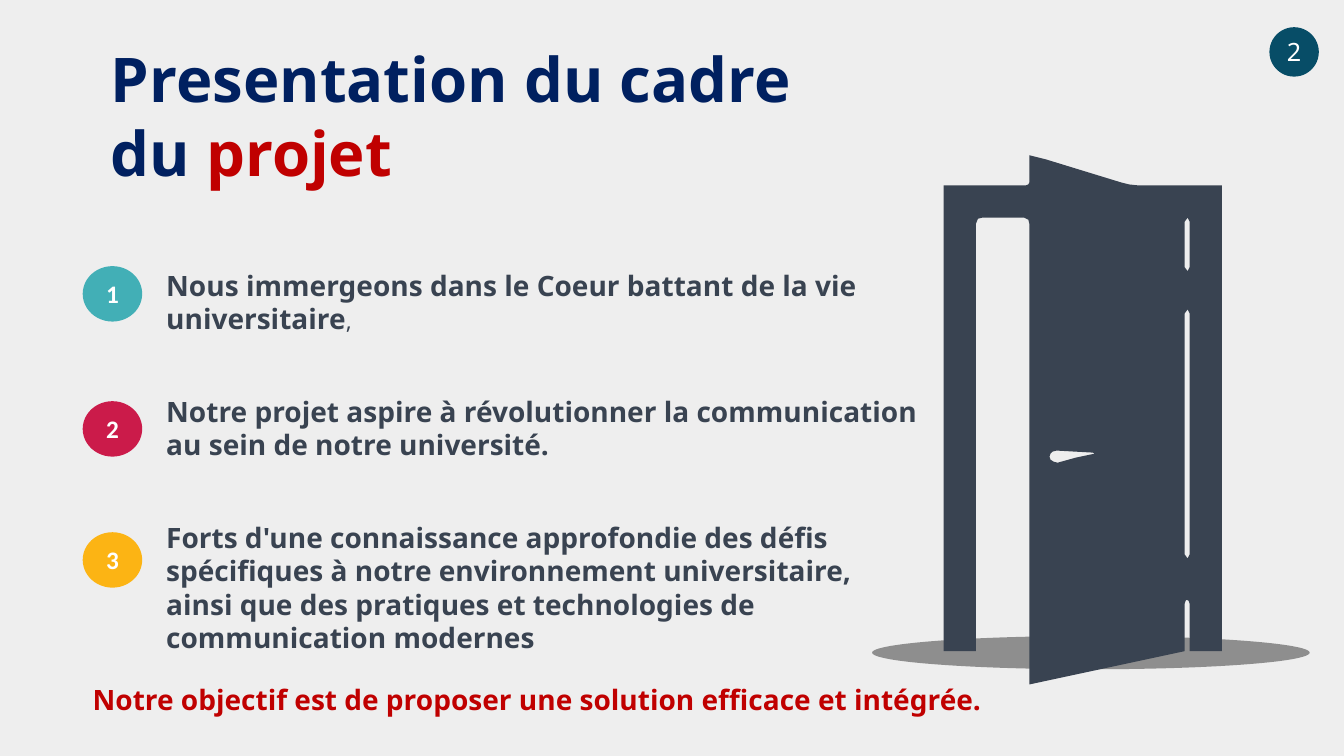
from pptx import Presentation
from pptx.dml.color import RGBColor
from pptx.enum.shapes import MSO_SHAPE
from pptx.enum.text import MSO_ANCHOR, PP_ALIGN
from pptx.oxml.ns import qn
from pptx.util import Inches, Pt
from lxml.etree import SubElement

NAVY, RED, SLATE = "002060", "C00000", "394351"
BODY_FONT, NUMBER_FONT = "Noto Sans", "Calibri"

TITLE = [("Presentation du cadre du ", 44, NAVY, True), ("projet", 44, RED, True)]
GOAL = [("Notre objectif est de proposer une solution efficace et intégrée.", 20, RED, True)]
POINTS = [
    ("42AFB6", 2.64, (2.61, 7.81, 0.77),
     [("Nous immergeons dans le Coeur battant de la vie universitaire", 20, SLATE, True),
      (",", 16, SLATE, False)]),
    ("CB1B4A", 3.98, (3.86, 7.81, 0.77),
     [("Notre projet aspire à révolutionner la communication au sein de notre université.",
       20, SLATE, True)]),
    ("FCB414", 5.28, (5.11, 7.27, 1.45),
     [("Forts d'une connaissance approfondie des défis spécifiques à notre environnement "
       "universitaire, ainsi que des pratiques et technologies de communication modernes",
       20, SLATE, True)]),
]

DOOR_FRAME = [
    (968, 646), (936, 646), (936, 184), (1017, 184), (1020, 183), (1021, 181), (1021, 154),
    (1037, 158), (1112, 181), (1120, 183), (1130, 184), (1212, 184), (1212, 646), (1180, 646),
    (1180, 599), (1179, 596), (1177, 595), (1176, 596), (1175, 599), (1175, 646),
    (1021, 679), (1021, 222), (1020, 218), (1016, 216), (974, 216), (970, 217), (968, 222),
]
HANDLE = [(1086, 450), (1084, 449), (1048, 447), (1044, 448), (1042, 450), (1041, 453),
          (1042, 456), (1045, 458), (1049, 459), (1067, 454)]
SLOT_LEFT, SLOT_RIGHT = 1175, 1180
SLOTS = [(216, 269), (307, 554)]


def color(value):
    return RGBColor.from_string(value)


def write(shape, runs, font_name, align=PP_ALIGN.LEFT):
    para = shape.text_frame.paragraphs[0]
    para.alignment = align
    for words, size, ink, bold in runs:
        span = para.add_run()
        span.text = words
        span.font.name = font_name
        span.font.size = Pt(size)
        span.font.bold = bold
        span.font.color.rgb = color(ink)


def paint(shape, fill):
    shape.shadow.inherit = False
    shape.fill.solid()
    shape.fill.fore_color.rgb = color(fill)
    shape.line.fill.background()


def add_ellipse(page, left, top, width, height, fill):
    ellipse = page.shapes.add_shape(
        MSO_SHAPE.OVAL, Inches(left), Inches(top), Inches(width), Inches(height))
    paint(ellipse, fill)
    return ellipse


def add_number(page, left, top, width, height, fill, number, font_name, bold):
    ellipse = add_ellipse(page, left, top, width, height, fill)
    ellipse.text_frame.vertical_anchor = MSO_ANCHOR.MIDDLE
    ellipse.text_frame.word_wrap = False
    write(ellipse, [(str(number), 18, "FFFFFF", bold)], font_name, PP_ALIGN.CENTER)


def add_text(page, left, top, width, height, runs):
    box = page.shapes.add_textbox(Inches(left), Inches(top), Inches(width), Inches(height))
    box.text_frame.word_wrap = True
    write(box, runs, BODY_FONT)


def slot_outline(top, bottom):
    middle = (SLOT_LEFT + SLOT_RIGHT) / 2
    return [(middle, top), (SLOT_RIGHT, top + 4), (SLOT_RIGHT, bottom - 4),
            (middle, bottom), (SLOT_LEFT, bottom - 4), (SLOT_LEFT, top + 4)]


def add_door(page):
    outlines = [DOOR_FRAME, HANDLE] + [slot_outline(*slot) for slot in SLOTS]
    builder = page.shapes.build_freeform(*DOOR_FRAME[0], scale=Inches(0.01))
    for index, outline in enumerate(outlines):
        if index:
            builder.move_to(*outline[0])
        builder.add_line_segments(outline[1:], close=True)
    paint(builder.convert_to_shape(), SLATE)


def main():
    deck = Presentation()
    deck.slide_width, deck.slide_height = Inches(13.33), Inches(7.5)
    page = deck.slides.add_slide(deck.slide_layouts[6])
    page.background.fill.solid()
    page.background.fill.fore_color.rgb = color("EEEEEE")

    floor_shade = add_ellipse(page, 8.65, 6.31, 4.34, 0.33, "000000")
    fill_color = floor_shade.fill._xPr.find(qn("a:solidFill"))[0]
    SubElement(fill_color, qn("a:alpha")).set("val", "40000")
    add_door(page)

    add_number(page, 12.59, 0.27, 0.49, 0.49, "074D67", 2, BODY_FONT, False)
    add_text(page, 1, 0.36, 7, 1.58, TITLE)
    for number, (fill, circle_top, (top, width, height), runs) in enumerate(POINTS, 1):
        add_number(page, 0.82, circle_top, 0.59, 0.55, fill, number, NUMBER_FONT, True)
        add_text(page, 1.55, top, width, height, runs)
    add_text(page, 0.82, 6.72, 9.45, 0.44, GOAL)

    deck.save("out.pptx")


if __name__ == "__main__":
    main()
